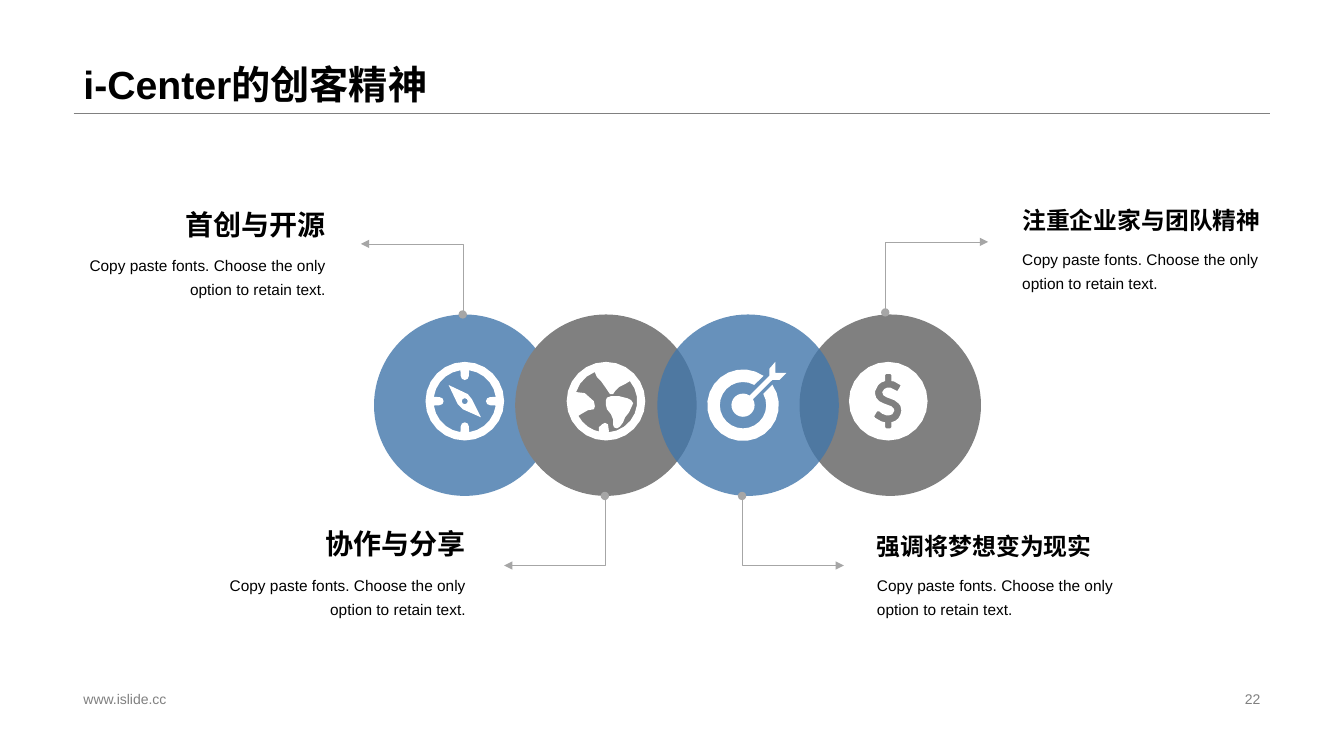
from math import cos, radians, sin

from lxml import etree
from pptx import Presentation
from pptx import util as u
from pptx.dml.color import RGBColor
from pptx.enum import shapes, text
from pptx.oxml.ns import qn

PX = 9144  # EMU per px, 100 px to the inch
BLUE = RGBColor(0x42, 0x76, 0xAA)
GRAY = RGBColor(0x80, 0x80, 0x80)
LIGHT = RGBColor(0xA6, 0xA6, 0xA6)
WHITE = RGBColor(0xFF, 0xFF, 0xFF)
BLACK = RGBColor(0, 0, 0)
LEFT, RIGHT = text.PP_ALIGN.LEFT, text.PP_ALIGN.RIGHT
TOP, MIDDLE, BOTTOM = text.MSO_ANCHOR.TOP, text.MSO_ANCHOR.MIDDLE, text.MSO_ANCHOR.BOTTOM


def arc(cx, cy, r, start=0, end=360):
    """Points along an arc, angles in degrees, clockwise from the right."""
    step = 15 if r > 5 else 45
    n = max(2, round(abs(end - start) / step))
    angles = [radians(start + (end - start) * i / n) for i in range(n + 1)]
    return [(cx + r * cos(a), cy + r * sin(a)) for a in angles]


class Deck:
    font = "Arial"

    def __init__(self, width, height):
        self.prs = Presentation()
        self.prs.slide_width, self.prs.slide_height = width * PX, height * PX
        self.s = self.prs.slides.add_slide(self.prs.slide_layouts[6])

    def text(self, x, y, w, h, words, size, color=BLACK, bold=False,
             align=LEFT, anchor=TOP, spacing=1.0):
        tf = self.s.shapes.add_textbox(x * PX, y * PX, w * PX, h * PX).text_frame
        tf.word_wrap, tf.vertical_anchor = True, anchor
        p = tf.paragraphs[0]
        p.text, p.alignment, p.line_spacing = words, align, spacing
        p.font.name, p.font.size, p.font.bold = self.font, u.Pt(size), bold
        p.font.color.rgb = color

    def paint(self, sp, color, alpha=100):
        sp.shadow.inherit = False
        sp.fill.solid()
        sp.fill.fore_color.rgb = color
        sp.line.fill.background()
        if alpha < 100:
            clr = sp.fill._xPr.find(".//" + qn("a:srgbClr"))
            etree.SubElement(clr, qn("a:alpha"), val=str(alpha * 1000))

    def circle(self, x, y, d, color, alpha=100):
        sp = self.s.shapes.add_shape(shapes.MSO_SHAPE.OVAL, x * PX, y * PX, d * PX, d * PX)
        self.paint(sp, color, alpha)

    def icon(self, *outlines):
        """One white outline; nested contours alternate between filled and open."""
        contours = [[(x * PX, y * PX) for x, y in points] for points in outlines]
        fb = self.s.shapes.build_freeform(*contours[0][0], scale=1.0)
        for i, points in enumerate(contours):
            if i:
                fb.move_to(*points[0])
            fb.add_line_segments(points[1:], close=True)
        self.paint(fb.convert_to_shape(), WHITE)

    def line(self, x1, y1, x2, y2, color):
        return self.connector(shapes.MSO_CONNECTOR.STRAIGHT, x1, y1, x2, y2, color)

    def elbow(self, x1, y1, x2, y2, color):
        """Vertical first, then horizontal; a dot at the start, an arrow at the end."""
        c = self.connector(shapes.MSO_CONNECTOR.ELBOW, x1, y1, x2, y2, color)
        av = c._element.spPr.find(".//" + qn("a:avLst"))
        etree.SubElement(av, qn("a:gd"), name="adj1", fmla="val 0")
        ln = c.line._get_or_add_ln()
        etree.SubElement(ln, qn("a:headEnd"), type="oval")
        etree.SubElement(ln, qn("a:tailEnd"), type="triangle")

    def connector(self, kind, x1, y1, x2, y2, color):
        c = self.s.shapes.add_connector(kind, x1 * PX, y1 * PX, x2 * PX, y2 * PX)
        c.line.color.rgb, c.line.width = color, u.Pt(0.25)
        etree.SubElement(c._element.spPr, qn("a:effectLst"))
        return c


def compass(cx, cy):
    rim = []
    for turn in range(0, 360, 90):
        rim += arc(cx, cy, 31, turn + 8, turn + 82)
        a = radians(turn + 90)
        rim += arc(cx + 25 * cos(a), cy + 25 * sin(a), 4, turn, turn - 180)
    needle = [(3, -7), (-16, -16), (-7, 3), (-2, 8), (16, 16), (7, -2)]
    return arc(cx, cy, 39), rim, [(cx + x, cy + y) for x, y in needle], arc(cx, cy, 3)


def globe(cx, cy):
    sea = (arc(cx, cy, 31, 99, 152)
           + [(576, 411), (583, 407), (589, 406), (590, 403), (589, 398), (580, 390)]
           + arc(cx, cy, 31, 197, 249)
           + [(592, 374), (596, 378), (601, 385), (605, 391), (608, 391), (610, 388),
              (614, 384), (620, 381)]
           + arc(cx, cy, 31, 320, 446)
           + [(604, 428), (603, 421), (600, 419.5), (597, 421), (594, 424), (594, 428)])
    land = [(622, 395), (614, 393), (606, 393), (602, 394.5), (601, 397), (601, 402),
            (602, 406), (606, 411), (608, 416), (608, 421), (609, 424), (612, 425),
            (615, 423), (618, 419), (620, 414), (624, 409), (628, 400), (626, 397)]
    return arc(cx, cy, 39), sea, land


def target(cx, cy):
    ring = arc(cx, cy, 23, -29, 299) + arc(cx, cy, 35.5, 305, -35)
    arrow = ([(769, 370), (769, 359), (763, 366), (763, 373)]
             + arc(cx, cy, 11.5, -56, -391) + [(766, 377), (773, 377), (780, 370)])
    return ring, arrow


def dollar(cx, cy):
    sign = [(891, 415), (888, 417.5), (884, 419), (884, 424), (883, 425), (879, 425),
            (878, 424), (878, 419), (874, 418), (868, 414.5), (867, 413), (870, 408),
            (872, 408), (875, 410.5), (879, 412), (882, 412), (885, 411), (887, 407.5),
            (886.5, 405.5), (884, 403), (876, 400), (872, 398), (869, 394.5), (868, 391),
            (868, 388), (871, 382), (874, 379.5), (878, 378), (878, 372), (879, 371),
            (883, 371), (884, 372), (884, 378), (887, 378.5), (893, 382), (893, 383),
            (890, 388), (886, 386), (883, 384.5), (880, 384.5), (877, 386), (875, 389),
            (876, 392), (879, 394), (887, 397), (891, 400), (893, 402.5), (894, 407),
            (893, 411.5)]
    return arc(cx, cy, 39), sign


def main():
    d = Deck(1333, 750)

    # Title and footer
    d.line(73, 112, 1260, 112, GRAY)
    d.text(73, 682, 453, 23, "www.islide.cc", 10, GRAY, anchor=MIDDLE)
    d.text(942, 682, 318, 23, "22", 10, GRAY, align=RIGHT, anchor=MIDDLE)
    d.text(73, 0, 1187, 112, "i-Center的创客精神", 28, bold=True, anchor=BOTTOM, spacing=0.9)

    # Chain of overlapping circles, the last one at the back
    for i in (3, 0, 1, 2):
        color, alpha = ((BLUE, 80), (GRAY, 100))[i % 2]
        d.circle(371 + i * 422 // 3, 312, 180, color, alpha)

    # Callout arrows
    for x1, y1, x2, y2 in ((459, 312, 358, 242), (600, 492, 500, 561),
                           (736, 492, 837, 561), (878, 310, 980, 240)):
        d.elbow(x1, y1, x2, y2, LIGHT)

    # Icons
    d.icon(*compass(461, 398))
    d.icon(*globe(601, 398))
    d.icon(*target(737, 402))
    d.icon(*dollar(881, 398))

    # Captions
    for x, y, heading, size, align, spacing in (
            (76, 196, "首创与开源", 20, RIGHT, 1.0),
            (215, 513, "协作与分享", 20, RIGHT, 1.0),
            (1004, 190, "注重企业家与团队精神", 17, LEFT, 0.9),
            (860, 513, "强调将梦想变为现实", 17, LEFT, 0.9)):
        d.text(x, y, 257, 48, heading, size, bold=True, align=align,
               anchor=BOTTOM, spacing=spacing)
        d.text(x, y + 48, 257, 69, "Copy paste fonts. Choose the only option to retain text.",
               11, align=align, spacing=1.3)

    d.prs.save("out.pptx")


if __name__ == "__main__":
    main()
